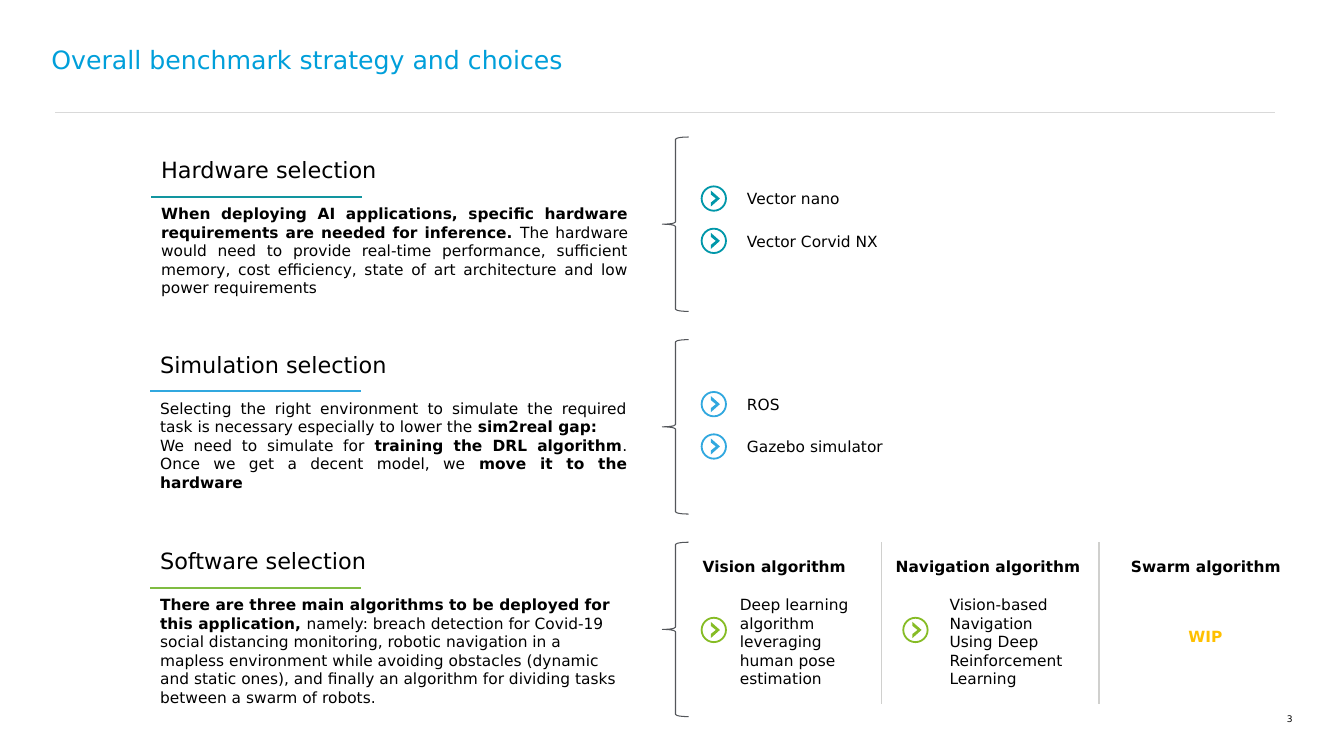
import pptx
import pptx.util
import pptx.dml.color
import pptx.enum.shapes
import pptx.enum.text
import pptx.oxml

Inches = pptx.util.Inches
Shape = pptx.enum.shapes.MSO_SHAPE
Align = pptx.enum.text.PP_ALIGN

COLORS = {
    "title": "009FDA", "text": "000000", "rule": "D9D9D9", "brace": "53565A",
    "split": "D0D0CE", "teal": "0097A9", "blue": "31A8DF", "green": "86BC25",
    "teal line": "12959F", "blue line": "31A8DF", "green line": "7FBC41",
    "gold": "FFC000",
}


def color(name):
    return pptx.dml.color.RGBColor.from_string(COLORS[name])


class Page:
    font = "DejaVu Sans"
    size = 11

    def __init__(self, slide):
        self.slide = slide
        self.shapes = slide.shapes

    def style(self, run, size, ink, bold=False):
        run.font.name = self.font
        run.font.size = pptx.util.Pt(size)
        run.font.color.rgb = color(ink)
        run.font.bold = bold

    def title(self, text, x, y, w, h):
        box = self.shapes.title
        box.left, box.top, box.width, box.height = map(Inches, (x, y, w, h))
        frame = box.text_frame
        frame.text = text
        frame.auto_size = pptx.enum.text.MSO_AUTO_SIZE.NONE
        frame.vertical_anchor = pptx.enum.text.MSO_ANCHOR.TOP
        self.trim(frame)
        frame.paragraphs[0].alignment = Align.LEFT
        self.style(frame.paragraphs[0].runs[0], 18, "title")

    def trim(self, frame):
        frame.margin_left = frame.margin_right = 0
        frame.margin_top = frame.margin_bottom = 0

    def text(self, text, x, y, w, h, size=size, ink="text", align=Align.LEFT):
        """Each line is a paragraph; ** marks the bold parts."""
        frame = self.shapes.add_textbox(*map(Inches, (x, y, w, h))).text_frame
        frame.word_wrap = True
        for i, line in enumerate(text.split("\n")):
            para = frame.add_paragraph() if i else frame.paragraphs[0]
            para.alignment = align
            for j, part in enumerate(line.split("**")):
                if part:
                    run = para.add_run()
                    run.text = part
                    self.style(run, size, ink, bold=j % 2 == 1)
        return frame

    def line(self, x1, y1, x2, y2, ink, width=0.75):
        line = self.shapes.add_connector(
            pptx.enum.shapes.MSO_CONNECTOR.STRAIGHT, *map(Inches, (x1, y1, x2, y2)))
        line.line.color.rgb = color(ink)
        line.line.width = pptx.util.Pt(width)
        props = line._element.spPr
        props.append(pptx.oxml.parse_xml(
            '<a:effectLst xmlns:a="http://schemas.openxmlformats.org/drawingml/2006/main"/>'))

    def brace(self, x, y, w, h):
        brace = self.shapes.add_shape(Shape.LEFT_BRACE, *map(Inches, (x, y, w, h)))
        brace.shadow.inherit = False
        brace.fill.background()
        brace.line.color.rgb = color("brace")
        brace.line.width = pptx.util.Pt(0.75)

    def icon(self, x, y, ink):
        ring = self.shapes.add_shape(Shape.DONUT, *map(Inches, (x, y, 0.26, 0.26)))
        ring.adjustments[0] = 0.07
        # Chevron inside the ring
        points = [(0, 0), (0.09, 0.08), (0, 0.16), (0, 0.12), (0.05, 0.08), (0, 0.04)]
        points = [(Inches(x + 0.1 + dx), Inches(y + 0.05 + dy)) for dx, dy in points]
        pen = self.shapes.build_freeform(*points[0])
        pen.add_line_segments(points[1:], close=True)
        for part in (ring, pen.convert_to_shape()):
            part.shadow.inherit = False
            part.fill.solid()
            part.fill.fore_color.rgb = color(ink)
            part.line.fill.background()

    def section(self, x, y, head, body, ink, align):
        self.text(head, x, y, 2.6, 0.37, size=16)
        self.text(body, x, y + 0.48, 4.83, 1.03, align=align)
        self.line(x, y + 0.45, x + 2.09, y + 0.45, ink + " line", 1.5)

    def choices(self, y, items, ink):
        for i, item in enumerate(items):
            top = y + i * 0.42
            self.icon(6.95, top, ink)
            self.text(item, 7.31, top - 0.01, 1.99, 0.29)


SECTIONS = [
    (1.5, 1.5, "Hardware selection",
     "**When deploying AI applications, specific hardware requirements are needed for "
     "inference. **The hardware would need to provide real-time performance, sufficient "
     "memory, cost efficiency, state of art architecture and low power requirements",
     "teal", Align.JUSTIFY),
    (1.49, 3.43, "Simulation selection",
     "Selecting the right environment to simulate the required task is necessary "
     "especially to lower the **sim2real gap:**\n"
     "We need to simulate for **training the DRL algorithm**. Once we get a decent "
     "model, we **move it to the hardware**",
     "blue", Align.JUSTIFY),
    (1.49, 5.38, "Software selection",
     "**There are three main algorithms to be deployed for this application, **namely: "
     "breach detection for Covid-19 social distancing monitoring, robotic navigation in "
     "a mapless environment while avoiding obstacles (dynamic and static ones), and "
     "finally an algorithm for dividing tasks between a swarm of robots.",
     "green", Align.LEFT),
]


def main():
    deck = pptx.Presentation()
    deck.slide_width, deck.slide_height = Inches(13.33), Inches(7.5)
    page = Page(deck.slides.add_slide(deck.slide_layouts[5]))

    # Title, rule and page number
    page.title("Overall benchmark strategy and choices", 0.51, 0.44, 12.31, 0.37)
    page.line(0.55, 1.12, 12.65, 1.12, "rule")
    page.trim(page.text("3", 12.48, 7.08, 0.34, 0.11, size=6.5, align=Align.RIGHT))

    # Sections with their braces
    for i, section in enumerate(SECTIONS):
        page.section(*section)
        page.brace(6.57, 1.36 + i * 2.01, 0.26, 1.73)

    # Hardware and simulation choices
    page.choices(1.84, ["Vector nano", "Vector Corvid NX"], "teal")
    page.choices(3.88, ["ROS", "Gazebo simulator"], "blue")

    # Software columns
    for x in (8.74, 10.9):
        page.line(x, 5.38, x, 6.98, "split")
    for head, x, w in (("Vision", 6.82, 1.72), ("Navigation", 8.65, 2.3),
                       ("Swarm", 11.1, 1.72)):
        page.text(f"**{head} algorithm**", x, 5.48, w, 0.29, align=Align.CENTER)
    for x, left, note in (
            (6.95, 7.24, "Deep learning algorithm leveraging human pose estimation"),
            (8.95, 9.32, "Vision-based Navigation Using Deep Reinforcement Learning")):
        page.icon(x, 6.12, "green")
        page.text(note, left, 5.86, 1.47, 1.03)
    page.text("**WIP**", 11.58, 6.17, 0.75, 0.29, ink="gold", align=Align.CENTER)

    deck.save("out.pptx")


if __name__ == "__main__":
    main()
